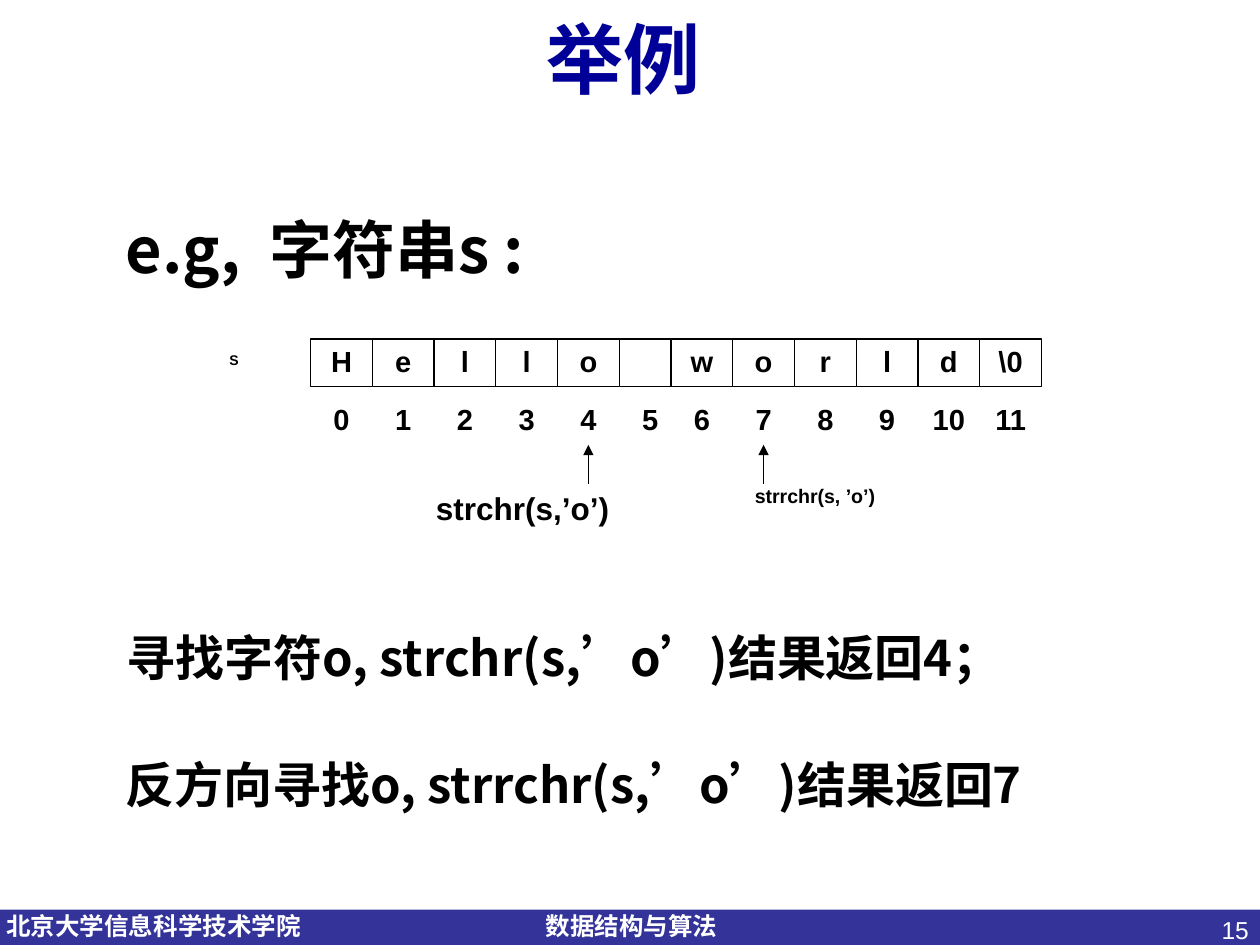
from lxml.etree import SubElement
from pptx import Presentation
from pptx.dml.color import RGBColor
from pptx.enum.shapes import MSO_CONNECTOR, MSO_SHAPE
from pptx.enum.text import MSO_ANCHOR, PP_ALIGN
from pptx.oxml.ns import qn
from pptx.util import Inches, Pt

THEME = {
    "latin": "Arial", "cjk": "Noto Sans CJK SC",
    "black": RGBColor.from_string("000000"), "white": RGBColor.from_string("FFFFFF"),
    "title": RGBColor.from_string("000099"), "band": RGBColor.from_string("333399"),
    "title_size": 44, "lead_size": 36, "body_size": 28, "call_size": 18,
    "cell_size": 16.6, "gap_size": 16, "footer_size": 14, "small_call_size": 11.2,
    "name_size": 8, "line": Pt(0.75),
}
WIDE = (0.1, 0.05, 0.1, 0.05)
TIGHT = (0.09, 0.04, 0.09, 0.04)
FOOTER = (0, 0.05, 0, 0.05)

deck = Presentation()
deck.slide_width, deck.slide_height = Inches(10), Inches(7.5)
page = deck.slides.add_slide(deck.slide_layouts[6])
COLUMN = deck.slide_width / 100
ROW = deck.slide_height / 75


def grid(left, top, width, height):
    return [round(n * unit) for n, unit in zip((left, top, width, height), (COLUMN, ROW) * 2)]


def write(box, text, size, font="latin", color="black", bold=True, margins=WIDE,
          anchor=MSO_ANCHOR.TOP, wrap=True, **para_format):
    frame = box.text_frame
    sides = ("margin_left", "margin_top", "margin_right", "margin_bottom")
    frame_format = dict(zip(sides, map(Inches, margins)), word_wrap=wrap, vertical_anchor=anchor)
    for name, value in frame_format.items():
        setattr(frame, name, value)
    para = frame.paragraphs[0]
    for name, value in para_format.items():
        setattr(para, name, value)
    span = para.add_run()
    span.text = text
    for name, value in {"name": THEME[font], "size": Pt(THEME[size]), "bold": bold}.items():
        setattr(span.font, name, value)
    span.font.color.rgb = THEME[color]
    east_asian = SubElement(span.font._element, qn("a:ea"))
    east_asian.set("typeface", THEME["cjk"])
    return para


band = page.shapes.add_shape(MSO_SHAPE.RECTANGLE, *grid(0, 72.2, 100, 2.8))
band.shadow.inherit = False
band.fill.solid()
band.fill.fore_color.rgb = THEME["band"]
band.line.fill.background()

footer = {"size": "footer_size", "color": "white"}
body = {"size": "body_size", "font": "cjk"}
texts = [
    ("北京大学信息科学技术学院", (0.5, 71.8, 24.4, 3.4), {**footer, "margins": FOOTER, "wrap": False}),
    ("数据结构与算法", (43.3, 71.8, 14.6, 3.4), {**footer, "margins": FOOTER, "wrap": False}),
    ("15", (76.8, 72.1, 23.3, 5.2), {**footer, "bold": False, "alignment": PP_ALIGN.RIGHT}),
    ("举例", (0, 0, 100, 9.1),
     {"size": "title_size", "font": "cjk", "color": "title", "margins": (0.2, 0.05, 0.3, 0.05),
      "anchor": MSO_ANCHOR.MIDDLE, "alignment": PP_ALIGN.CENTER}),
    ("e.g,  字符串s :", (9, 16.2, 60.6, 7), {"size": "lead_size", "font": "cjk"}),
    ("寻找字符o, strchr(s,’o’)结果返回4；", (9.1, 49.3, 84.3, 5.7), body),
    ("反方向寻找o, strrchr(s,’o’)结果返回7", (9, 59.4, 83.5, 5.7), body),
]
for text, place, text_format in texts:
    write(page.shapes.add_textbox(*grid(*place)), text, **text_format)

CELL_LEFT, CELL_WIDTH, CELL_HEIGHT, SPACE_OVERLAP = 24.65, 4.9, 3.8, 0.8
letters = [*"Hello", "", *"world", "\\0"]
space_index = letters.index("")
indices = [str(index) for index in range(len(letters))]
index_cells = []
for labels, top, outline in ((letters, 26.9, "black"), (indices, 31.5, "white")):
    for index, label in enumerate(labels):
        left = CELL_LEFT + index * CELL_WIDTH - SPACE_OVERLAP * (index > space_index)
        cell = page.shapes.add_shape(MSO_SHAPE.RECTANGLE, *grid(left, top, CELL_WIDTH, CELL_HEIGHT))
        cell.shadow.inherit = False
        cell.fill.solid()
        cell.fill.fore_color.rgb = THEME["white"]
        cell.line.color.rgb = THEME[outline]
        cell.line.width = THEME["line"]
        if label:
            write(cell, label, "cell_size", margins=TIGHT, anchor=MSO_ANCHOR.MIDDLE,
                  alignment=PP_ALIGN.CENTER, line_spacing=0.9)
        if labels is indices:
            index_cells.append(cell)

name_box = page.shapes.add_textbox(*grid(17.3, 26.9, 6.5, 3.9))
name_para = write(name_box, "S", "name_size", margins=TIGHT, line_spacing=0.8)
gap = name_para.add_run()
gap.text = " "
gap.font.size = Pt(THEME["gap_size"])

CALL_TOP = 38.4
calls = [
    ("strchr(s,’o’)", letters.index("o"), (33.7, CALL_TOP, 23.7, 3.9), "call_size", 1.0),
    ("strrchr(s, ’o’)", letters.index("o", space_index), (59, CALL_TOP, 22.2, 2.9), "small_call_size", 0.8),
]
for text, found, place, size, spacing in calls:
    target = index_cells[found]
    center = target.left + target.width // 2
    arrow = page.shapes.add_connector(MSO_CONNECTOR.STRAIGHT, center, round(CALL_TOP * ROW),
                                      center, target.top + target.height)
    arrow.end_connect(target, 2)
    arrow.line.color.rgb = THEME["black"]
    arrow.line.width = THEME["line"]
    SubElement(arrow.line._get_or_add_ln(), qn("a:tailEnd")).set("type", "triangle")
    SubElement(arrow._element.spPr, qn("a:effectLst"))
    write(page.shapes.add_textbox(*grid(*place)), text, size, margins=TIGHT, line_spacing=spacing)

deck.save("out.pptx")
